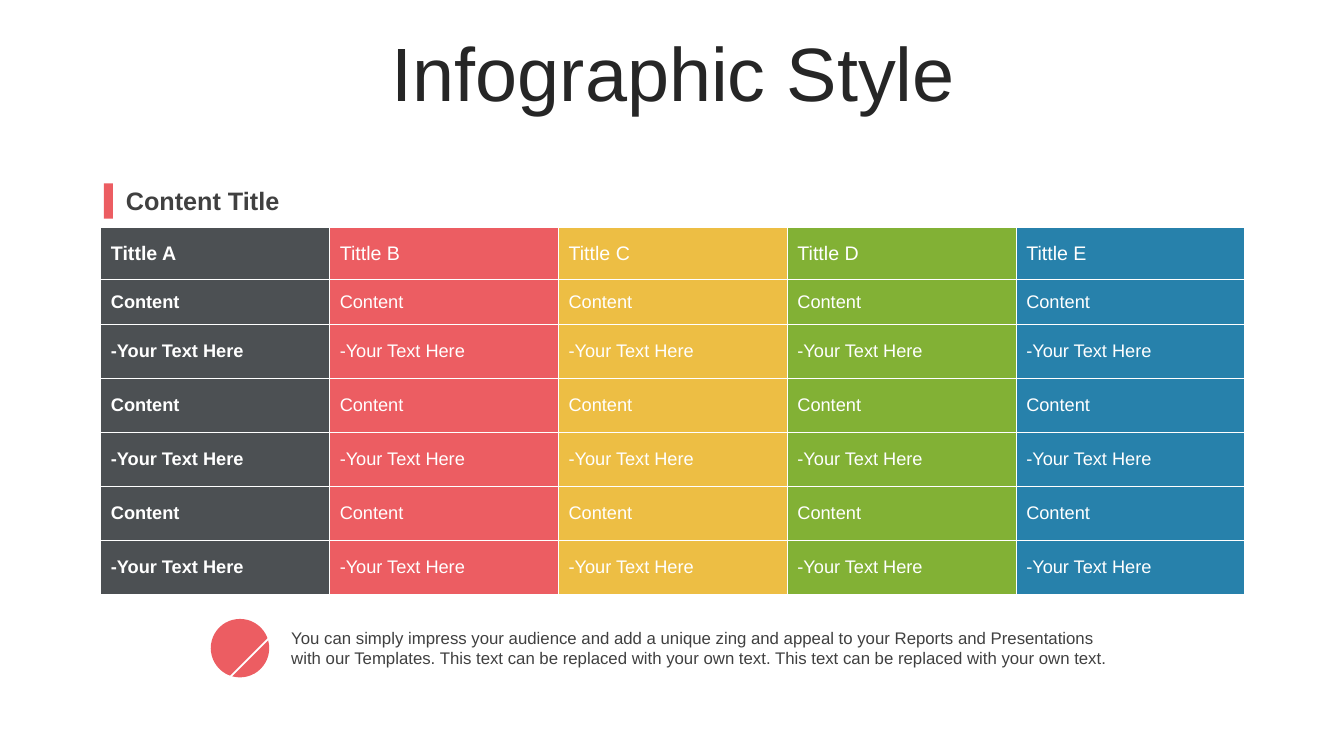
import math
from dataclasses import dataclass

import pptx
import pptx.dml.color
import pptx.enum.shapes
import pptx.enum.text
import pptx.oxml
import pptx.oxml.ns
import pptx.util
from pptx.util import Inches


@dataclass(frozen=True)
class Theme:
    font: str = "Arial"
    title: str = "262626"
    text: str = "404040"
    white: str = "FFFFFF"
    accent: str = "EC5D62"
    columns: tuple = ("4C5053", "EC5D62", "EDBE44", "82B135", "2781AB")
    title_size: int = 54
    heading_size: int = 18
    header_size: int = 14
    cell_size: int = 13
    note_size: int = 12


THEME = Theme()
MIDDLE = pptx.enum.text.MSO_ANCHOR.MIDDLE
SHAPES = pptx.enum.shapes.MSO_SHAPE


def write(frame, text, size, color, bold=False):
    """Fill a text frame with one paragraph in a single style."""
    frame.text = text
    frame.word_wrap = True
    font = frame.paragraphs[0].runs[0].font
    font.name = THEME.font
    font.size = pptx.util.Pt(size)
    font.bold = bold
    font.color.rgb = pptx.dml.color.RGBColor.from_string(color)


def add_accent(kind, left, top, width, height):
    shape = page.shapes.add_shape(
        kind, Inches(left), Inches(top), Inches(width), Inches(height))
    shape.shadow.inherit = False
    shape.fill.solid()
    shape.fill.fore_color.rgb = pptx.dml.color.RGBColor.from_string(THEME.accent)
    shape.line.fill.background()


deck = pptx.Presentation()
deck.slide_width = Inches(13.33)
deck.slide_height = Inches(7.5)
page = deck.slides.add_slide(deck.slide_layouts[5])

# Title
title = page.shapes.title
title.left, title.top = Inches(0.35), Inches(0.37)
title.width, title.height = Inches(12.66), Inches(0.79)
write(title.text_frame, "Infographic Style", THEME.title_size, THEME.title)
title.text_frame.auto_size = pptx.enum.text.MSO_AUTO_SIZE.NONE
title.text_frame.vertical_anchor = MIDDLE
title.text_frame.paragraphs[0].alignment = pptx.enum.text.PP_ALIGN.CENTER
title.text_frame.paragraphs[0].line_spacing = 0.9

# Table: one colour per column, a header row, then two alternating labels
labels = ["Content", "-Your Text Here"] * 3
table_height = 3.64
row_heights = [0.51, 0.45]
row_heights += [(table_height - sum(row_heights)) / 5] * 5
table = page.shapes.add_table(
    len(row_heights), len(THEME.columns),
    Inches(1), Inches(2.26), Inches(11.35), Inches(table_height)).table
for row, height in zip(table.rows, row_heights):
    row.height = Inches(height)
for column_index, color in enumerate(THEME.columns):
    column_texts = ["Tittle " + "ABCDE"[column_index]] + labels
    for row_index, text in enumerate(column_texts):
        cell = table.cell(row_index, column_index)
        size = THEME.header_size if row_index == 0 else THEME.cell_size
        write(cell.text_frame, text, size, THEME.white, bold=column_index == 0)
        cell.vertical_anchor = MIDDLE
        properties = cell._tc.get_or_add_tcPr()
        for side in ("lnL", "lnR", "lnT", "lnB"):
            properties.append(pptx.oxml.parse_xml(
                f'<a:{side} {pptx.oxml.ns.nsdecls("a")} w="12700"><a:solidFill>'
                f'<a:srgbClr val="{THEME.white}"/></a:solidFill></a:{side}>'))
        cell.fill.solid()
        cell.fill.fore_color.rgb = pptx.dml.color.RGBColor.from_string(color)

# Note and heading
note = page.shapes.add_textbox(Inches(2.79), Inches(6.18), Inches(8.38), Inches(0.5))
write(note.text_frame,
      "You can simply impress your audience and add a unique zing and appeal to your "
      "Reports and Presentations with our Templates. This text can be replaced with "
      "your own text. This text can be replaced with your own text.",
      THEME.note_size, THEME.text)
add_accent(SHAPES.OVAL, 2.09, 6.14, 0.58, 0.58)
add_accent(SHAPES.RECTANGLE, 1.03, 1.82, 0.09, 0.35)
heading = page.shapes.add_textbox(Inches(1.15), Inches(1.79), Inches(2.21), Inches(0.4))
write(heading.text_frame, "Content Title", THEME.heading_size, THEME.text, bold=True)
heading.text_frame.vertical_anchor = MIDDLE

# Globe icon: rim, meridians, equator and parallels around one centre
center_x, center_y, radius = 2.38, 6.43, 0.14
turns = [math.tau * step / 48 for step in range(49)]
spread = [step / 6 for step in range(-6, 7)]
strokes = [[(width * math.cos(turn), radius * math.sin(turn)) for turn in turns]
           for width in (radius, radius / 2)]
strokes += [[(0, -radius), (0, radius)], [(-radius, 0), (radius, 0)]]
strokes += [[(0.11 * x, side * (0.06 + 0.025 * x * x)) for x in spread]
            for side in (-1, 1)]
builder = None
for stroke in strokes:
    points = [(center_x + x, center_y + y) for x, y in stroke]
    if builder is None:
        builder = page.shapes.build_freeform(*points[0], scale=Inches(1))
    else:
        builder.move_to(*points[0])
    builder.add_line_segments(points[1:], close=False)
globe = builder.convert_to_shape()
globe.shadow.inherit = False
globe.fill.background()
globe.line.width = pptx.util.Pt(1.25)
globe.line.color.rgb = pptx.dml.color.RGBColor.from_string(THEME.white)

deck.save("out.pptx")
